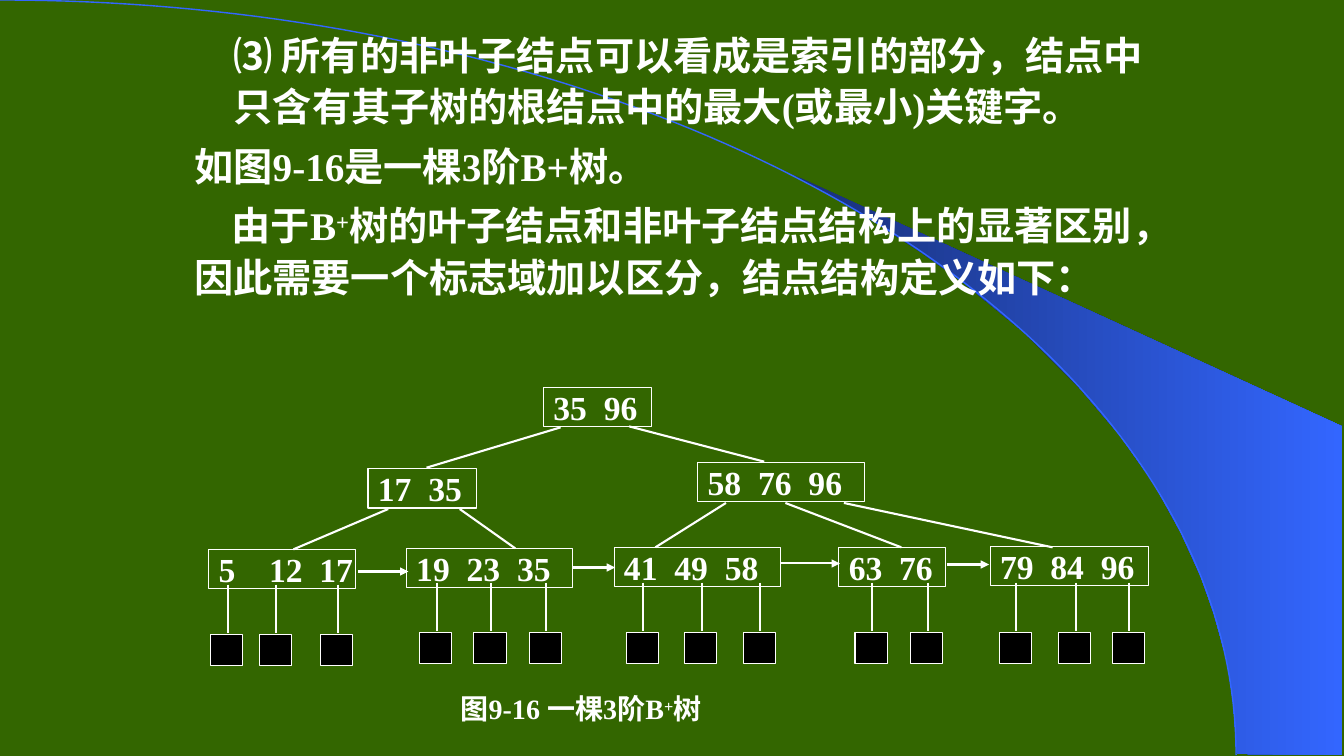
"""Build the slide about index nodes in a B+ tree of order 3."""
from math import cos, pi, sin

from lxml.etree import SubElement
from pptx import Presentation
from pptx.dml.color import RGBColor
from pptx.enum.shapes import MSO_CONNECTOR, MSO_SHAPE
from pptx.enum.text import MSO_ANCHOR as Anchor
from pptx.oxml.ns import qn
from pptx.util import Inches, Pt

COLORS = {"green": "336600", "navy": "182F76", "blue": "3366FF", "white": "FFFFFF", "black": "000000"}
LATIN, CHINESE = "Times New Roman", "Noto Sans CJK SC"

WING = [(12.27, 7.48), (13.31, 7.49), (13.31, 4.23), (7.86, 1.73), (8.32, 1.99), (8.7, 2.22),
        (9.13, 2.5), (9.55, 2.8), (10.16, 3.3), (10.7, 3.84), (11.1, 4.31), (11.44, 4.79),
        (11.71, 5.28), (11.91, 5.72), (12.04, 6.09), (12.17, 6.56), (12.23, 6.96)]
ARC_WIDTH, ARC_HEIGHT, ARC_STEPS = 12.26, 7.49, 90

BODY = [
    {"runs": ["⑶ 所有的非叶子结点可以看成是索引的部分，结点中只含有其子树的根结点中的最大(或最小)关键字。"],
     "margin": 0.39},
    {"runs": ["如图9-16是一棵3阶B+树。"], "before": 5.6},
    {"runs": ["由于B", ("+", 26), "树的叶子结点和非叶子结点结构上的显著区别，因此需要一个标志域加以区分，结点结构定义如下："],
     "first": 0.37, "before": 5.6},
]
CAPTION = [{"runs": ["图9-16 一棵3阶B", ("+", 26), "树"]}]

WIDE, NARROW = 0.25, 0.17
DIGIT, NODE_HEIGHT = 0.167, 0.39
NODES = [
    (5.39, 3.84, 1.07, ["35", "96"], [WIDE]),
    (3.65, 4.65, 1.08, ["17", "35"], [WIDE]),
    (6.92, 4.59, 1.65, ["58", "76", "96"], [WIDE, WIDE]),
    (2.07, 5.45, 1.46, ["5", "12", "17"], [WIDE, WIDE]),
    (4.03, 5.44, 1.65, ["19", "23", "35"], [WIDE, WIDE]),
    (6.09, 5.43, 1.65, ["41", "49", "58"], [WIDE, WIDE]),
    (8.32, 5.43, 1.06, ["63", "76"], [WIDE]),
    (9.82, 5.42, 1.57, ["79", "84", "96"], [WIDE, NARROW]),
]
BRANCHES = [
    (5.56, 4.24, 4.23, 4.64), (6.24, 4.23, 7.58, 4.58),
    (3.85, 5.05, 2.91, 5.45), (4.56, 5.05, 5.11, 5.44),
    (7.2, 4.99, 6.5, 5.43), (7.79, 4.99, 8.94, 5.43), (8.37, 4.99, 10.44, 5.43),
]
LEAF_LINKS = [(3.55, 4.05, 5.67), (5.68, 6.1, 5.63), (7.74, 8.33, 5.59), (9.39, 9.81, 5.6)]
RECORD_STEMS = [
    (5.8, [2.26, 2.74, 3.35]),
    (5.78, [4.33, 4.87, 5.42, 6.38, 6.96, 7.54, 8.65, 9.2, 10.08, 10.67, 11.2]),
]
STEM, RECORD_WIDTH, RECORD_HEIGHT = 0.48, 0.32, 0.31


def color(name):
    return RGBColor.from_string(COLORS[name])


def write(shape, paragraphs, size, spacing=1.0, anchor=Anchor.TOP, tabs=(), insets=(0.1, 0.05, 0.1, 0.05)):
    frame = shape.text_frame
    frame.word_wrap = True
    frame.vertical_anchor = anchor
    frame.margin_left, frame.margin_top, frame.margin_right, frame.margin_bottom = map(Inches, insets)
    for index, item in enumerate(paragraphs):
        paragraph = frame.paragraphs[0] if index == 0 else frame.add_paragraph()
        properties = paragraph._p.get_or_add_pPr()
        properties.set("marL", str(Inches(item.get("margin", 0))))
        properties.set("indent", str(Inches(item.get("first", 0))))
        properties.set("algn", "l")
        if tabs:
            stops = SubElement(properties, qn("a:tabLst"))
            for position in tabs:
                SubElement(stops, qn("a:tab"), pos=str(Inches(position)), algn="l")
        paragraph.line_spacing = spacing
        paragraph.space_before = Pt(item.get("before", 0))
        for part in item["runs"]:
            text, raised = part if isinstance(part, tuple) else (part, 0)
            run = paragraph.add_run()
            run.text = text
            run.font.name, run.font.size, run.font.bold = LATIN, Pt(size), True
            run.font.color.rgb = color("white")
            run_properties = run._r.get_or_add_rPr()
            SubElement(run_properties, qn("a:ea"), typeface=CHINESE)
            if raised:
                run_properties.set("baseline", str(raised * 1000))


def add_outline(slide, points, closed):
    corners = [(Inches(x), Inches(y)) for x, y in points]
    builder = slide.shapes.build_freeform(*corners[0], scale=1.0)
    builder.add_line_segments(corners[1:], close=closed)
    shape = builder.convert_to_shape()
    shape.shadow.inherit = False
    return shape


def add_backdrop(slide):
    wing = add_outline(slide, WING, True)
    wing.fill.gradient()
    wing.fill.gradient_angle = 0
    for stop, position, name in zip(wing.fill.gradient_stops, (0, 1), ("navy", "blue")):
        stop.position, stop.color.rgb = position, color(name)
    wing.line.fill.background()
    angles = [pi / 2 * step / ARC_STEPS for step in range(ARC_STEPS + 1)]
    arc = add_outline(slide, [(ARC_WIDTH * sin(a), ARC_HEIGHT * (1 - cos(a))) for a in angles], False)
    arc.fill.background()
    arc.line.color.rgb, arc.line.width = color("blue"), Pt(1)


def add_box(slide, left, top, width, height, fill=None):
    shape = slide.shapes.add_shape(MSO_SHAPE.RECTANGLE, *map(Inches, (left, top, width, height)))
    shape.shadow.inherit = False
    if fill:
        shape.fill.solid()
        shape.fill.fore_color.rgb = color(fill)
    else:
        shape.fill.background()
    shape.line.color.rgb, shape.line.width = color("white"), Pt(0.75)
    return shape


def add_line(slide, *ends, arrow=False):
    connector = slide.shapes.add_connector(MSO_CONNECTOR.STRAIGHT, *map(Inches, ends))
    connector.line.color.rgb, connector.line.width = color("white"), Pt(1.5)
    if arrow:
        SubElement(connector.line._get_or_add_ln(), qn("a:tailEnd"), type="triangle")
    SubElement(connector._element.spPr, qn("a:effectLst"))


def add_node(slide, left, top, width, keys, gaps):
    shape = add_box(slide, left, top, width, NODE_HEIGHT)
    tabs = []
    position = 0
    for key, gap in zip(keys, gaps):
        position += DIGIT * len(key) + gap
        tabs.append(position)
    write(shape, [{"runs": ["\t".join(keys)]}], 24, anchor=Anchor.MIDDLE, tabs=tabs, insets=(0.1, 0, 0, 0))


def main():
    presentation = Presentation()
    presentation.slide_width, presentation.slide_height = Inches(13.33), Inches(7.5)
    slide = presentation.slides.add_slide(presentation.slide_layouts[6])
    slide.background.fill.solid()
    slide.background.fill.fore_color.rgb = color("green")
    add_backdrop(slide)
    body = slide.shapes.add_textbox(*map(Inches, (1.83, 0.21, 9.64, 3.39)))
    write(body, BODY, 28, spacing=1.1)
    caption = slide.shapes.add_textbox(*map(Inches, (4.47, 6.83, 3.3, 0.39)))
    write(caption, CAPTION, 20, anchor=Anchor.MIDDLE)
    for node in NODES:
        add_node(slide, *node)
    for branch in BRANCHES:
        add_line(slide, *branch)
    for start, end, y in LEAF_LINKS:
        add_line(slide, start, y, end, y, arrow=True)
    for top, stems in RECORD_STEMS:
        for x in stems:
            add_line(slide, x, top, x, top + STEM)
            add_box(slide, x - 0.17, top + STEM + 0.01, RECORD_WIDTH, RECORD_HEIGHT, fill="black")
    presentation.save("out.pptx")


if __name__ == "__main__":
    main()
